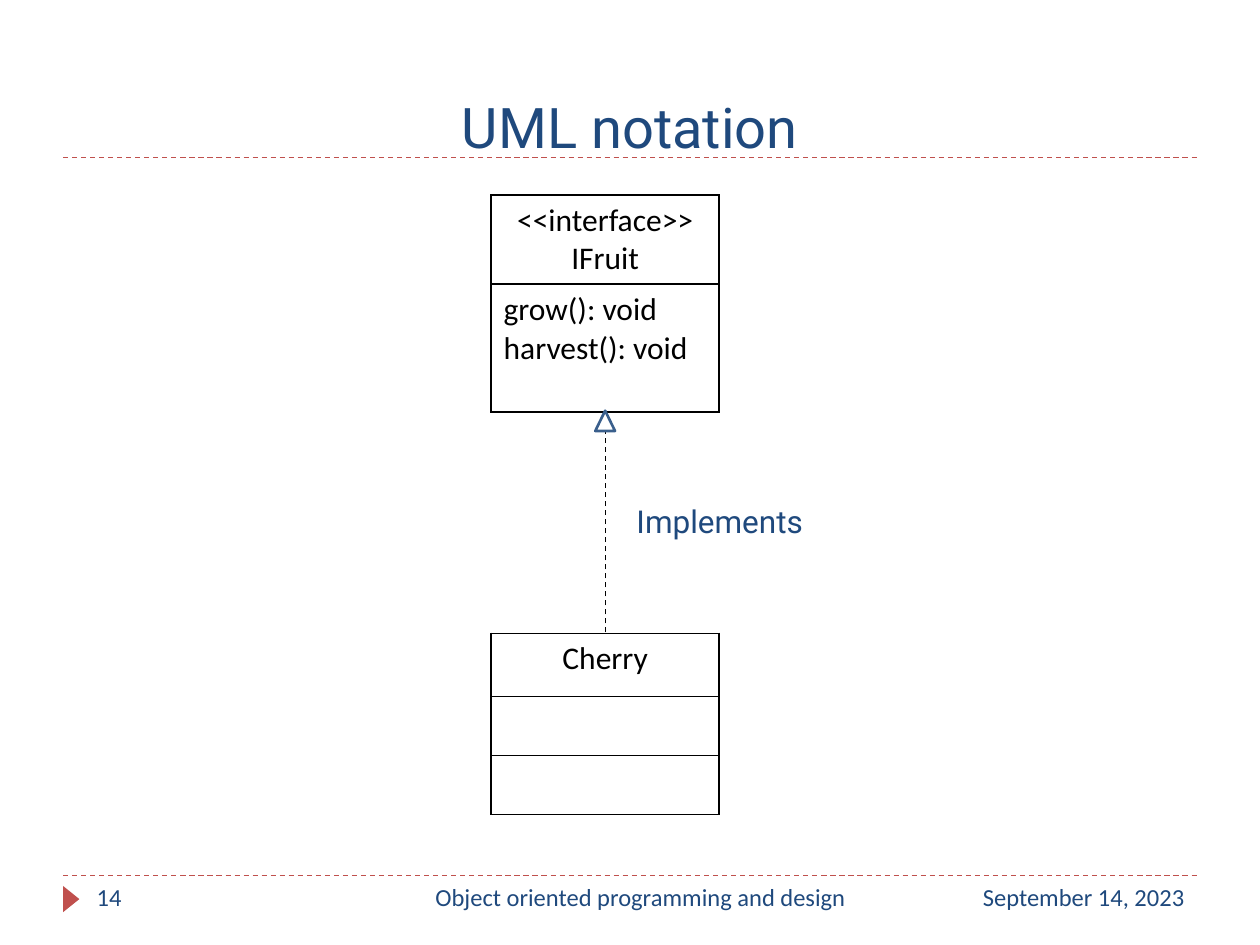
from dataclasses import dataclass

from pptx import Presentation
from pptx.dml.color import RGBColor
from pptx.enum.dml import MSO_LINE
from pptx.enum.shapes import MSO_CONNECTOR, MSO_SHAPE
from pptx.enum.text import MSO_ANCHOR, MSO_AUTO_SIZE, PP_ALIGN
from pptx.oxml import parse_xml
from pptx.oxml.ns import nsdecls, qn
from pptx.util import Cm, Pt

LEFT, CENTER, RIGHT = PP_ALIGN.LEFT, PP_ALIGN.CENTER, PP_ALIGN.RIGHT
TOP, BOTTOM = MSO_ANCHOR.TOP, MSO_ANCHOR.BOTTOM
DASH = MSO_LINE.DASH
STRAIGHT = MSO_CONNECTOR.STRAIGHT
TRIANGLE = MSO_SHAPE.ISOSCELES_TRIANGLE
NO_FIT = MSO_AUTO_SIZE.NONE


@dataclass(frozen=True)
class Theme:
    """Colours, fonts and type sizes."""

    ink: str = "000000"
    navy: str = "1F497D"
    red: str = "C0504D"
    blue: str = "3A5F8C"
    head: str = "Roboto"
    body: str = "Calibri"
    large: int = 32
    normal: int = 18
    small: int = 14


class Painter:
    """Draws styled elements on the current slide."""

    def __init__(self, slide, theme):
        self.slide = slide
        self.theme = theme

    def style(self, frame, face, size, color, align):
        """Format every paragraph of a text frame."""
        for para in frame.paragraphs:
            para.alignment = align
            para.font.name = face
            para.font.size = Pt(size)
            para.font.color.rgb = RGBColor.from_string(color)

    def title(self, text, left, top, width, height):
        """Fill and place the title."""
        shape = self.slide.shapes.title
        shape.left, shape.top = Cm(left), Cm(top)
        shape.width, shape.height = Cm(width), Cm(height)
        frame = shape.text_frame
        frame.text = text
        frame.auto_size = NO_FIT
        frame.vertical_anchor = BOTTOM
        self.style(frame, self.theme.head, self.theme.large, self.theme.navy, CENTER)

    def label(self, text, box, face, size, align, anchor=TOP):
        """Add a navy text box."""
        frame = self.slide.shapes.add_textbox(*map(Cm, box)).text_frame
        frame.word_wrap = True
        frame.vertical_anchor = anchor
        frame.text = text
        self.style(frame, face, size, self.theme.navy, align)

    def line(self, start, end, color):
        """Add a thin dashed line."""
        line = self.slide.shapes.add_connector(STRAIGHT, *map(Cm, start + end))
        line.line.color.rgb = RGBColor.from_string(color)
        line.line.width = Pt(0.75)
        line.line.dash_style = DASH
        line._element.spPr.append(parse_xml(f"<a:effectLst {nsdecls('a')}/>"))

    def arrow(self, box, fill=None, edge=None, turn=0):
        """Add a solid or hollow triangle."""
        shape = self.slide.shapes.add_shape(TRIANGLE, *map(Cm, box))
        shape.shadow.inherit = False
        shape.rotation = turn
        if fill:
            shape.fill.solid()
            shape.fill.fore_color.rgb = RGBColor.from_string(fill)
        else:
            shape.fill.background()
        if edge:
            shape.line.color.rgb = RGBColor.from_string(edge)
            shape.line.width = Pt(1.5)
        else:
            shape.line.fill.background()

    def border(self, cell):
        """Draw the four sides of a cell."""
        props = cell._tc.get_or_add_tcPr()
        for spot, side in enumerate(("lnL", "lnR", "lnT", "lnB")):
            props.insert(spot, parse_xml(
                f'<a:{side} {nsdecls("a")} w="{Pt(1)}"><a:solidFill>'
                f'<a:srgbClr val="{self.theme.ink}"/></a:solidFill></a:{side}>'))

    def uml(self, left, top, width, rows):
        """Add a class box from (text, height, alignment) rows."""
        total = sum(height for _, height, _ in rows)
        table = self.slide.shapes.add_table(
            len(rows), 1, Cm(left), Cm(top), Cm(width), Cm(total)).table
        table.first_row = table.horz_banding = False
        table._tbl.tblPr.find(qn("a:tableStyleId")).text = (
            "{2D5ABB26-0587-4C30-8999-92F81FD0307C}")
        for spot, (text, height, align) in enumerate(rows):
            table.rows[spot].height = Cm(height)
            cell = table.cell(spot, 0)
            cell.text = text
            cell.fill.background()
            self.border(cell)
            self.style(cell.text_frame, self.theme.body, self.theme.normal,
                       self.theme.ink, align)


def main():
    """Build the slide and save it."""
    deck = Presentation()
    deck.slide_width, deck.slide_height = Cm(25.4), Cm(19.05)
    theme = Theme()
    paint = Painter(deck.slides.add_slide(deck.slide_layouts[5]), theme)

    for y in (17.65, 3.18):
        paint.line((1.27, y), (24.13, y), theme.red)
    paint.arrow((1.17, 17.96, 0.53, 0.33), fill=theme.red, turn=90)
    for text, left, width, align in (
        ("September 14, 2023", 17.78, 6.35, RIGHT),
        ("14", 1.7, 5.5, LEFT),
        ("Object oriented programming and design", 8.05, 9.73, CENTER),
    ):
        paint.label(text, (left, 17.65, width, 1.02), theme.body, theme.small, align)

    paint.title("UML notation", 1.27, 1.7, 22.86, 1.65)
    left, width = 9.9, 4.6
    paint.uml(left, 3.93, width, (
        ("<<interface>>\nIFruit", 1.8, CENTER),
        ("grow(): void\vharvest(): void", 2.58, LEFT),
    ))
    paint.uml(left, 12.77, width, (
        ("Cherry", 1.27, CENTER), ("", 1.19, LEFT), ("", 1.19, LEFT)))
    mid = left + width / 2
    paint.line((mid, 12.75), (mid, 8.69), theme.ink)
    paint.arrow((mid - 0.2, 8.28, 0.4, 0.41), edge=theme.blue)
    paint.label("Implements", (12.1, 10, 4.82, 1), theme.head, theme.normal,
                CENTER, BOTTOM)
    deck.save("out.pptx")


if __name__ == "__main__":
    main()
